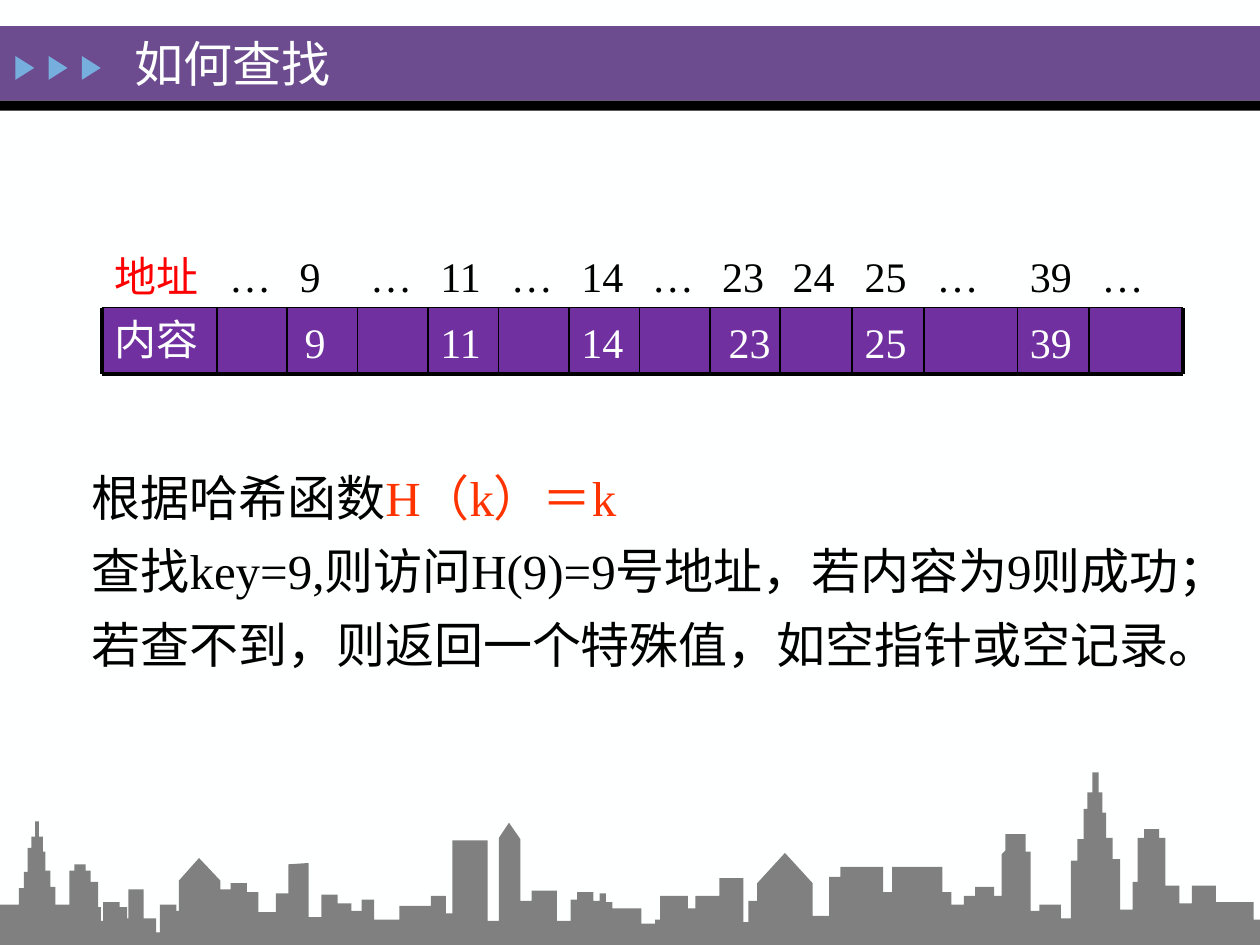
from itertools import accumulate

from lxml import etree
from pptx import Presentation
from pptx.dml.color import RGBColor
from pptx.enum.shapes import MSO_CONNECTOR, MSO_SHAPE
from pptx.enum.text import MSO_ANCHOR, PP_ALIGN
from pptx.oxml.ns import qn
from pptx.util import Cm, Pt

RECTANGLE = MSO_SHAPE.RECTANGLE
TRIANGLE = MSO_SHAPE.ISOSCELES_TRIANGLE
STRAIGHT = MSO_CONNECTOR.STRAIGHT
TOP, MIDDLE = MSO_ANCHOR.TOP, MSO_ANCHOR.MIDDLE
LEFT = PP_ALIGN.LEFT

SLIDE_WIDTH, SLIDE_HEIGHT = 25.4, 19.05
FONT = "Times New Roman"
WHITE, BLACK = "FEFFFF", "000000"
PURPLE, CELL_PURPLE, SKY_BLUE = "6C4C8F", "7030A0", "76AEDD"
RED, ORANGE, GRAY = "FF0000", "FF3300", "808080"

# Address, stored content, column width, shift of the content
COLUMNS = [
    ("地址", "内容", 2.32, 0),
    ("…", "", 1.42, 0),
    ("9", "9", 1.42, 0.1),
    ("…", "", 1.42, 0),
    ("11", "11", 1.42, 0),
    ("…", "", 1.42, 0),
    ("14", "14", 1.42, 0),
    ("…", "", 1.42, 0),
    ("23", "23", 1.42, 0.13),
    ("24", "", 1.45, 0),
    ("25", "25", 1.45, 0),
    ("…", "", 1.88, 0),
    ("39", "39", 1.45, 0),
    ("…", "", 1.88, 0),
]

EXPLANATION = [
    [("根据哈希函数", BLACK), ("H（k）＝k", ORANGE)],
    [("查找key=9,则访问H(9)=9号地址，若内容为9则成功；", BLACK)],
    [("若查不到，则返回一个特殊值，如空指针或空记录。", BLACK)],
]

# Left edge and height of each flat roof, in thousandths of the skyline width
ROOFS = [
    (0, 32), (15, 45), (19, 58), (22, 77), (25, 86), (28, 98), (31, 86),
    (34, 74), (36, 59), (40, 46), (44, 32), (55, 59), (59, 64), (68, 59),
    (72, 50), (78, 30), (80, 19), (82, 34), (95, 30), (101, 21), (102, 44),
    (114, 21), (124, 10), (127, 32), (140, 27), (142, 51), (175, 44),
    (183, 49), (196, 42), (205, 26), (219, 41), (229, 64), (245, 22),
    (255, 40), (268, 33), (279, 27), (287, 36), (297, 20), (317, 31),
    (342, 39), (354, 25), (359, 83), (387, 19), (396, 85), (413, 35),
    (422, 43), (442, 19), (453, 36), (458, 42), (471, 35), (476, 41),
    (481, 34), (486, 29), (509, 17), (520, 20), (524, 39), (546, 29),
    (552, 39), (571, 53), (590, 18), (594, 35), (601, 49), (645, 23),
    (658, 54), (667, 62), (701, 42), (708, 62), (748, 42), (755, 32),
    (765, 39), (774, 46), (789, 39), (795, 72), (798, 88), (814, 74),
    (818, 27), (825, 32), (842, 21), (850, 67), (855, 84), (860, 108),
    (863, 121), (867, 137), (872, 121), (875, 105), (878, 85), (883, 68),
    (889, 28), (899, 50), (903, 85), (908, 92), (920, 85), (925, 47),
    (936, 33), (946, 47), (965, 34), (995, 20),
]
# Sloping roofs, by the left edge where they start
GABLES = {
    142: [(158, 69), (175, 51)],
    229: [(245, 65)],
    396: [(404, 97), (413, 84)],
    601: [(623, 73), (645, 49)],
    795: [(798, 75)],
}


def color(hex_value):
    return RGBColor.from_string(hex_value)


def fill_plain(shape, fill):
    shape.shadow.inherit = False
    shape.fill.solid()
    shape.fill.fore_color.rgb = color(fill)
    shape.line.fill.background()


def add_block(slide, kind, box, fill):
    block = slide.shapes.add_shape(kind, *map(Cm, box))
    fill_plain(block, fill)
    return block


def write(shape, paragraphs, size, anchor=TOP, wrap=True, **spacing):
    """Fill a shape with paragraphs, each a list of (text, colour) runs."""
    frame = shape.text_frame
    frame.word_wrap, frame.vertical_anchor = wrap, anchor
    for index, runs in enumerate(paragraphs):
        paragraph = frame.add_paragraph() if index else frame.paragraphs[0]
        for name, value in {"alignment": LEFT, **spacing}.items():
            setattr(paragraph, name, value)
        for text, text_color in runs:
            run = paragraph.add_run()
            run.text = text
            for name, value in {"name": FONT, "size": Pt(size)}.items():
                setattr(run.font, name, value)
            run.font.color.rgb = color(text_color)


def add_text(slide, box, paragraphs, size, **layout):
    write(slide.shapes.add_textbox(*map(Cm, box)), paragraphs, size, **layout)


def add_rule(slide, start, end, weight):
    rule = slide.shapes.add_connector(STRAIGHT, *map(Cm, (*start, *end)))
    rule.line.color.rgb = color(BLACK)
    rule.line.width = Pt(weight)
    etree.SubElement(rule._element.spPr, qn("a:effectLst"))


def add_title_bar(slide, left, top, width, height, title):
    band = 1.5
    add_block(slide, RECTANGLE, (left, top, width, band), PURPLE)
    add_block(slide, RECTANGLE, (left, top + band, width, height - band), BLACK)
    for index in range(3):
        arrow_box = (left + 0.26 + 0.67 * index, top + 0.65, 0.48, 0.38)
        add_block(slide, TRIANGLE, arrow_box, SKY_BLUE).rotation = 90
    add_text(slide, (left + 2.46, top + 0.03, 6.58, 1.42), [[(title, WHITE)]], 28,
             anchor=MIDDLE)


def add_hash_table(slide, left, top, address_height, cell_height):
    cell_top = top + address_height
    bottom = cell_top + cell_height
    widths = [width for _, _, width, _ in COLUMNS]
    edges = list(accumulate(widths, initial=left))
    above = Pt(4.8)

    for index, (edge, (address, content, width, _)) in enumerate(zip(edges, COLUMNS)):
        cell = add_block(slide, RECTANGLE, (edge, cell_top, width, cell_height), CELL_PURPLE)
        if index == 0:
            write(cell, [[(content, WHITE)]], 24, space_before=above)
        add_text(slide, (edge, top, width, address_height),
                 [[(address, BLACK if index else RED)]], 24, space_before=above)

    right = edges[-1]
    for edge in edges:
        add_rule(slide, (edge, cell_top), (edge, bottom),
                 2.25 if edge in (left, right) else 1)
    for y, weight in ((cell_top, 1), (bottom, 2.25)):
        add_rule(slide, (left, y), (right, y), weight)

    for edge, (_, content, width, shift) in list(zip(edges, COLUMNS))[1:]:
        if content:
            add_text(slide, (edge + shift, cell_top - 0.36, width, 1.52),
                     [[(content, WHITE)]], 24, wrap=False,
                     line_spacing=1.4, space_before=above)


def add_skyline(slide, left, bottom, width):
    unit = width / 1000
    outline, height = [(0, 0)], 0
    for x, roof in ROOFS:
        outline += [(x, height), (x, roof), *GABLES.get(x, [])]
        height = outline[-1][1]
    outline += [(1000, height), (1000, 0)]
    points = [(Cm(left + x * unit), Cm(bottom - y * unit)) for x, y in outline]
    builder = slide.shapes.build_freeform(*points[0])
    builder.add_line_segments(points[1:], close=True)
    fill_plain(builder.convert_to_shape(), GRAY)


def main():
    deck = Presentation()
    deck.slide_width, deck.slide_height = Cm(SLIDE_WIDTH), Cm(SLIDE_HEIGHT)
    slide = deck.slides.add_slide(deck.slide_layouts[6])
    slide.background.fill.solid()
    slide.background.fill.fore_color.rgb = color(WHITE)

    add_title_bar(slide, 0, 0.53, SLIDE_WIDTH, 1.7, "如何查找")
    add_text(slide, (1.6, 9, 22.6, 4.75), EXPLANATION, 28, line_spacing=1.25)
    add_hash_table(slide, 2.05, 4.93, 1.27, 1.34)
    add_skyline(slide, 0, SLIDE_HEIGHT, SLIDE_WIDTH)
    deck.save("out.pptx")


if __name__ == "__main__":
    main()
